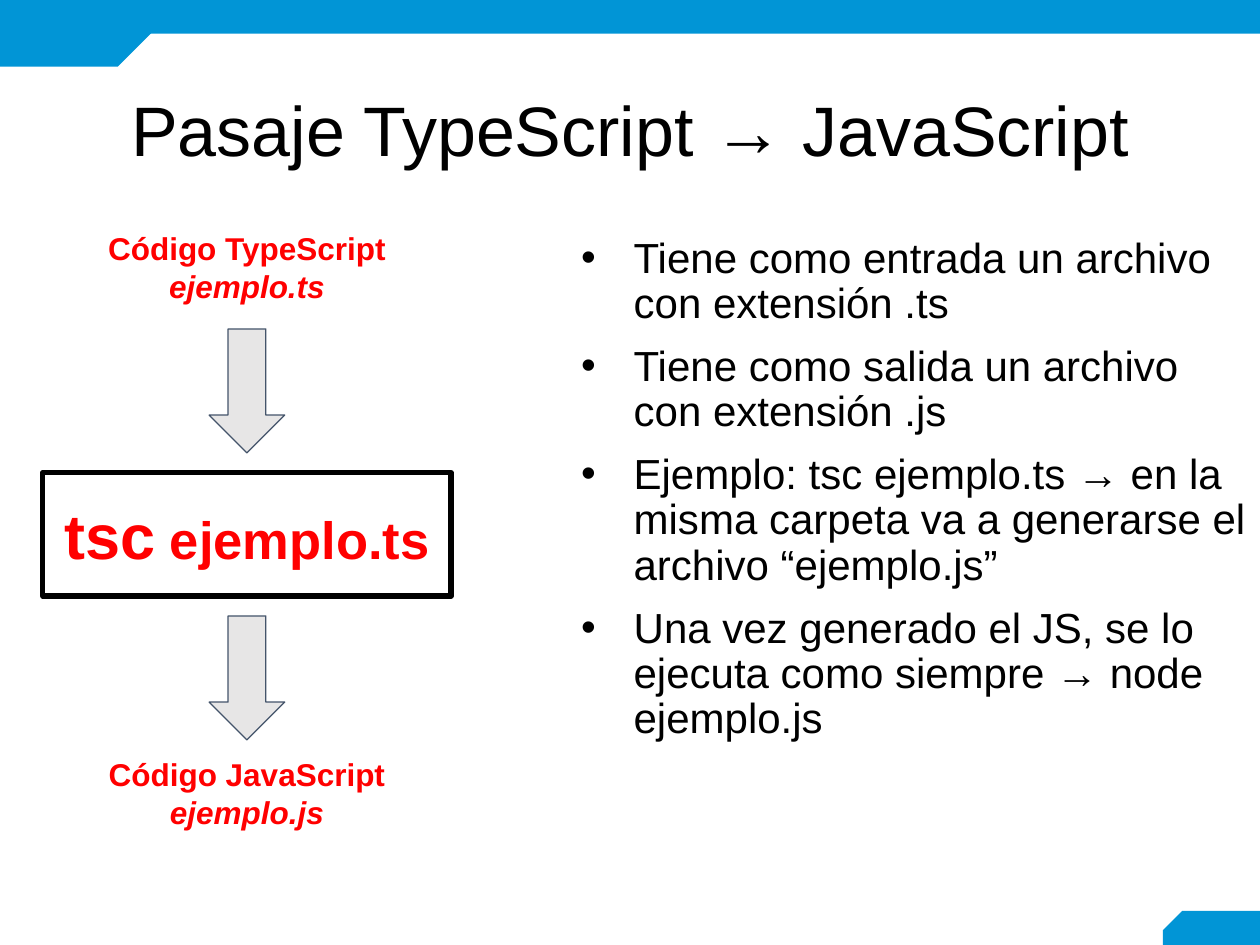
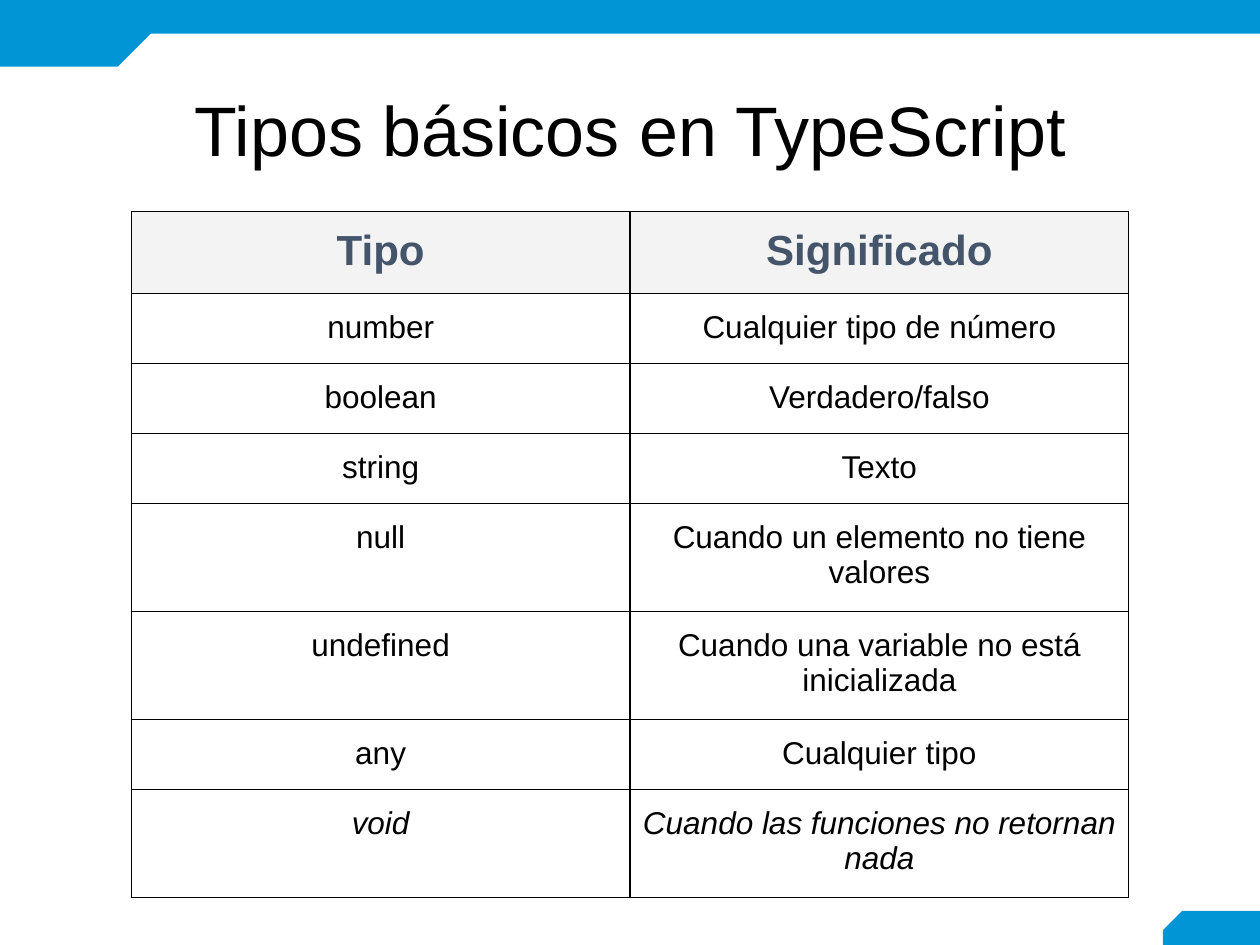
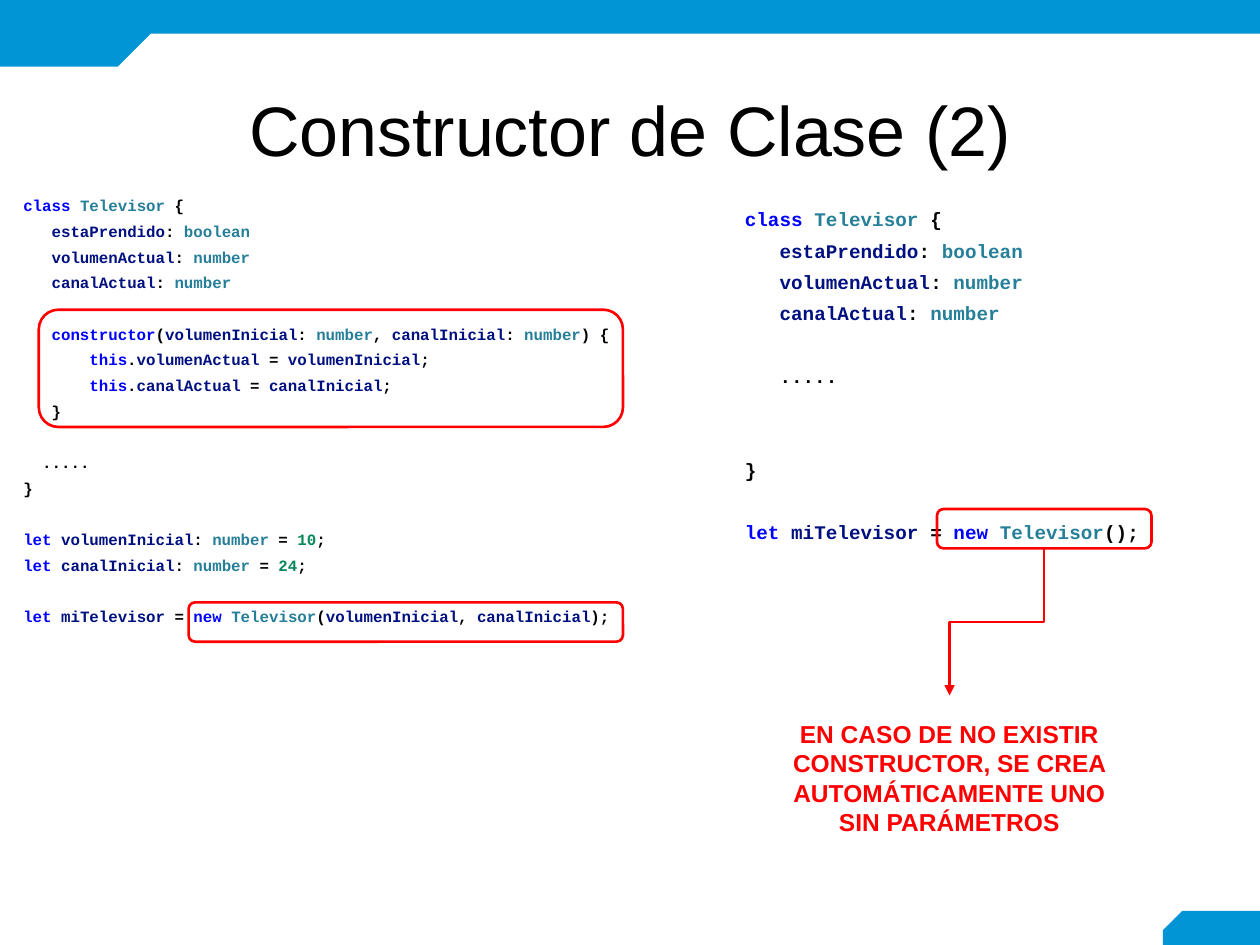
"""Build three slides about TypeScript: compiling, basic types and class constructors."""
import itertools

import lxml.etree
import pptx
import pptx.dml.color
import pptx.enum.shapes
import pptx.enum.text
import pptx.oxml.ns
import pptx.util

Pt = pptx.util.Pt
RGBColor = pptx.dml.color.RGBColor
SHAPE = pptx.enum.shapes.MSO_SHAPE
CONNECTOR = pptx.enum.shapes.MSO_CONNECTOR
ALIGN = pptx.enum.text.PP_ALIGN
ANCHOR = pptx.enum.text.MSO_ANCHOR
qn = pptx.oxml.ns.qn

BAND_BLUE = RGBColor(0x01, 0x95, 0xD6)
BLACK = RGBColor(0x00, 0x00, 0x00)
RED = RGBColor(0xFF, 0x00, 0x00)
SLATE = RGBColor(0x44, 0x54, 0x6A)
ARROW_GRAY = RGBColor(0xE7, 0xE6, 0xE6)
HEADER_GRAY = RGBColor(0xF3, 0xF3, 0xF3)
KEYWORD_BLUE = RGBColor(0x00, 0x00, 0xFF)
TYPE_TEAL = RGBColor(0x26, 0x7F, 0x99)
NAME_NAVY = RGBColor(0x00, 0x10, 0x80)
NUMBER_GREEN = RGBColor(0x09, 0x88, 0x5A)

BODY_FONT = "Arial"
CODE_FONT = "Courier New"
INSET = 7.2


def add_block(slide, kind, box, fill=None, line=None, line_width=0.75):
    """Add a preset shape, or a text box when kind is None."""
    place = [Pt(value) for value in box]
    if kind is None:
        block = slide.shapes.add_textbox(*place)
    else:
        block = slide.shapes.add_shape(kind, *place)
        block.shadow.inherit = False
        if fill is None:
            block.fill.background()
        else:
            block.fill.solid()
            block.fill.fore_color.rgb = fill
        if line is None:
            block.line.fill.background()
        else:
            block.line.color.rgb = line
            block.line.width = Pt(line_width)
    frame = block.text_frame
    frame.word_wrap = True
    frame.margin_left = frame.margin_right = Pt(INSET)
    frame.margin_top = frame.margin_bottom = Pt(INSET)
    return block


def add_run(paragraph, text, size, color=BLACK, bold=False, italic=False, font=BODY_FONT):
    """Append one formatted run to a paragraph."""
    run = paragraph.add_run()
    run.text = text
    run.font.name = font
    run.font.size = Pt(size)
    run.font.bold = bold
    run.font.italic = italic
    run.font.color.rgb = color


deck = pptx.Presentation()
deck.slide_width = Pt(720)
deck.slide_height = Pt(540)

titles = ["Pasaje TypeScript → JavaScript", "Tipos básicos en TypeScript", "Constructor de Clase (2)"]
bands = [
    (SHAPE.SNIP_1_RECTANGLE, (664.5, 520.5, 55.5, 22.3), 0),
    (SHAPE.RECTANGLE, (80.6, 0, 639.4, 19.2), 0),
    (SHAPE.SNIP_1_RECTANGLE, (0, 0, 86.4, 38), 180),
]
for title in titles:
    slide = deck.slides.add_slide(deck.slide_layouts[6])
    for kind, box, rotation in bands:
        band = add_block(slide, kind, box, BAND_BLUE)
        band.rotation = rotation
        if kind == SHAPE.SNIP_1_RECTANGLE:
            band.adjustments[0] = 0.5
            band._element.spPr.find(qn("a:xfrm")).set("flipH", "1")
    heading = add_block(slide, None, (24.5, 46.8, 671, 59.8)).text_frame
    heading.margin_top = heading.margin_bottom = Pt(3.6)
    heading.vertical_anchor = ANCHOR.MIDDLE
    heading.paragraphs[0].alignment = ALIGN.CENTER
    heading.paragraphs[0].line_spacing = 0.9
    add_run(heading.paragraphs[0], title, 40)

compile_slide, types_slide, constructor_slide = deck.slides

FLOW_LEFT, FLOW_WIDTH = 24.5, 233.3
flow_steps = [
    (None, 133.9, 37.4, [("Código TypeScript ", 18, False), ("ejemplo.ts", 18, True)]),
    (None, 434.2, 37.4, [("Código JavaScript ", 18, False), ("ejemplo.js", 18, True)]),
    (SHAPE.RECTANGLE, 270, 70.6, [("tsc", 36, False), (" ejemplo.ts", 30, False)]),
]
for kind, top, height, pieces in flow_steps:
    step = add_block(compile_slide, kind, (FLOW_LEFT, top, FLOW_WIDTH, height), None, BLACK, 3).text_frame
    step.vertical_anchor = ANCHOR.MIDDLE
    step.paragraphs[0].alignment = ALIGN.CENTER
    for text, size, italic in pieces:
        add_run(step.paragraphs[0], text, size, RED, True, italic)

ARROW_WIDTH = 43.2
for arrow_top in (188, 352):
    arrow_left = FLOW_LEFT + (FLOW_WIDTH - ARROW_WIDTH) / 2
    add_block(compile_slide, SHAPE.DOWN_ARROW, (arrow_left, arrow_top, ARROW_WIDTH, 70.8), ARROW_GRAY, SLATE)

notes = [
    "Tiene como entrada un archivo con extensión .ts",
    "Tiene como salida un archivo con extensión .js",
    "Ejemplo: tsc ejemplo.ts → en la misma carpeta va a generarse el archivo “ejemplo.js”",
    "Una vez generado el JS, se lo ejecuta como siempre → node ejemplo.js",
]
explanation = add_block(compile_slide, None, (283, 128.2, 440.6, 360)).text_frame
for index, note in enumerate(notes):
    paragraph = explanation.add_paragraph() if index else explanation.paragraphs[0]
    properties = paragraph._p.get_or_add_pPr()
    properties.set("marL", str(Pt(72)))
    properties.set("indent", str(Pt(-30)))
    lxml.etree.SubElement(properties, qn("a:buFont"), typeface=BODY_FONT)
    lxml.etree.SubElement(properties, qn("a:buChar"), char="•")
    paragraph.line_spacing = 0.9
    if index:
        paragraph.space_before = Pt(10)
    add_run(paragraph, note, 24)

type_rows = [
    ("Tipo", "Significado", 46.3),
    ("number", "Cualquier tipo de número", 40),
    ("boolean", "Verdadero/falso", 40),
    ("string", "Texto", 40),
    ("null", "Cuando un elemento no tiene valores", 61.7),
    ("undefined", "Cuando una variable no está inicializada", 61.7),
    ("any", "Cualquier tipo", 40),
    ("void", "Cuando las funciones no retornan nada", 61.7),
]
table_height = sum(row[2] for row in type_rows)
types_table = types_slide.shapes.add_table(
    len(type_rows), 2, Pt(75), Pt(120.8), Pt(570), Pt(table_height)).table
types_table.first_row = False
types_table.horz_banding = False
for row_index, (type_name, meaning, height) in enumerate(type_rows):
    types_table.rows[row_index].height = Pt(height)
    is_header = row_index == 0
    for cell, text in zip(types_table.rows[row_index].cells, (type_name, meaning)):
        cell.margin_left = cell.margin_right = Pt(INSET)
        cell.margin_top = cell.margin_bottom = Pt(9.1)
        for side in ("a:lnL", "a:lnR", "a:lnT", "a:lnB"):
            border = lxml.etree.SubElement(cell._tc.get_or_add_tcPr(), qn(side), w=str(Pt(0.75)))
            border_fill = lxml.etree.SubElement(border, qn("a:solidFill"))
            lxml.etree.SubElement(border_fill, qn("a:srgbClr"), val=str(BLACK))
        if is_header:
            cell.fill.solid()
            cell.fill.fore_color.rgb = HEADER_GRAY
        else:
            cell.fill.background()
        paragraph = cell.text_frame.paragraphs[0]
        paragraph.alignment = ALIGN.CENTER
        add_run(paragraph, text, 24 if is_header else 18, SLATE if is_header else BLACK,
                is_header, type_name == "void")

token_colors = dict.fromkeys(("class", "constructor", "this", "let", "new"), KEYWORD_BLUE)
token_colors.update(dict.fromkeys(("Televisor", "boolean", "number"), TYPE_TEAL))
token_colors.update(dict.fromkeys(("10", "24"), NUMBER_GREEN))

class_fields = """class Televisor {
   estaPrendido: boolean
   volumenActual: number
   canalActual: number
"""
code_without_constructor = class_fields + """
   .....


}

let miTelevisor = new Televisor();"""
code_with_constructor = class_fields + """
   constructor(volumenInicial: number, canalInicial: number) {
       this.volumenActual = volumenInicial;
       this.canalActual = canalInicial;
   }

  .....
}

let volumenInicial: number = 10;
let canalInicial: number = 24;

let miTelevisor = new Televisor(volumenInicial, canalInicial);"""

LINE_PITCH = 1.62
listings = [
    (code_without_constructor, 11, (418.5, 106.6, 248.4, 242)),
    (code_with_constructor, 9, (6.2, 100.8, 353.5, 284.4)),
]
for code, size, box in listings:
    listing = add_block(constructor_slide, None, box).text_frame
    paragraph = listing.paragraphs[0]
    skipped_lines = 0
    for line_index, code_line in enumerate(code.split("\n")):
        if not code_line:
            skipped_lines += 1
            continue
        if line_index:
            paragraph = listing.add_paragraph()
        paragraph.line_spacing = 1.36
        if skipped_lines:
            paragraph.space_before = Pt(round(skipped_lines * size * LINE_PITCH, 1))
        skipped_lines = 0
        for is_word, characters in itertools.groupby(code_line, str.isalnum):
            token = "".join(characters)
            color = token_colors.get(token, NAME_NAVY) if is_word else BLACK
            add_run(paragraph, token, size, color, True, font=CODE_FONT)

highlights = [(107.8, 344.2, 248.2, 22.5), (22.2, 177, 333.8, 67), (535.4, 290.9, 122.6, 22.5)]
for box in highlights:
    add_block(constructor_slide, SHAPE.ROUNDED_RECTANGLE, box, None, RED, 1.5)

warning = add_block(constructor_slide, None, (438.3, 397.3, 208.4, 94.2)).text_frame
warning.vertical_anchor = ANCHOR.MIDDLE
warning.paragraphs[0].alignment = ALIGN.CENTER
add_run(warning.paragraphs[0],
        "EN CASO DE NO EXISTIR CONSTRUCTOR, SE CREA AUTOMÁTICAMENTE UNO SIN PARÁMETROS",
        14, RED, True)

warning_link = constructor_slide.shapes.add_connector(
    CONNECTOR.ELBOW, Pt(527.6), Pt(328.4), Pt(611.6), Pt(382.4))
warning_link.line.color.rgb = RED
warning_link.line.width = Pt(1.5)
link_properties = warning_link._element.spPr
link_properties.find(qn("a:xfrm")).set("rot", str(90 * 60000))
lxml.etree.SubElement(link_properties.find(qn("a:ln")), qn("a:tailEnd"), type="triangle")
lxml.etree.SubElement(link_properties, qn("a:effectLst"))

deck.save("out.pptx")
